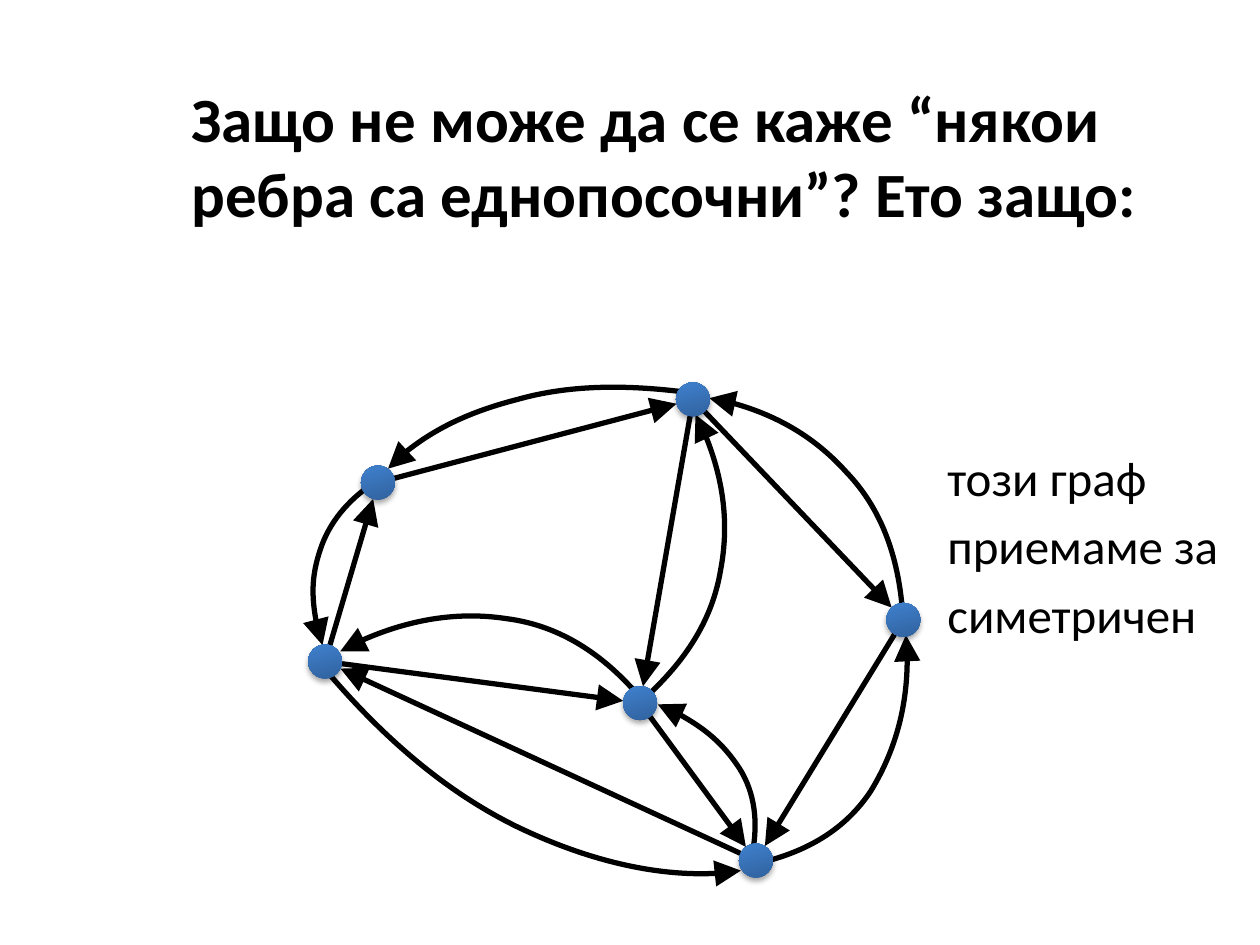
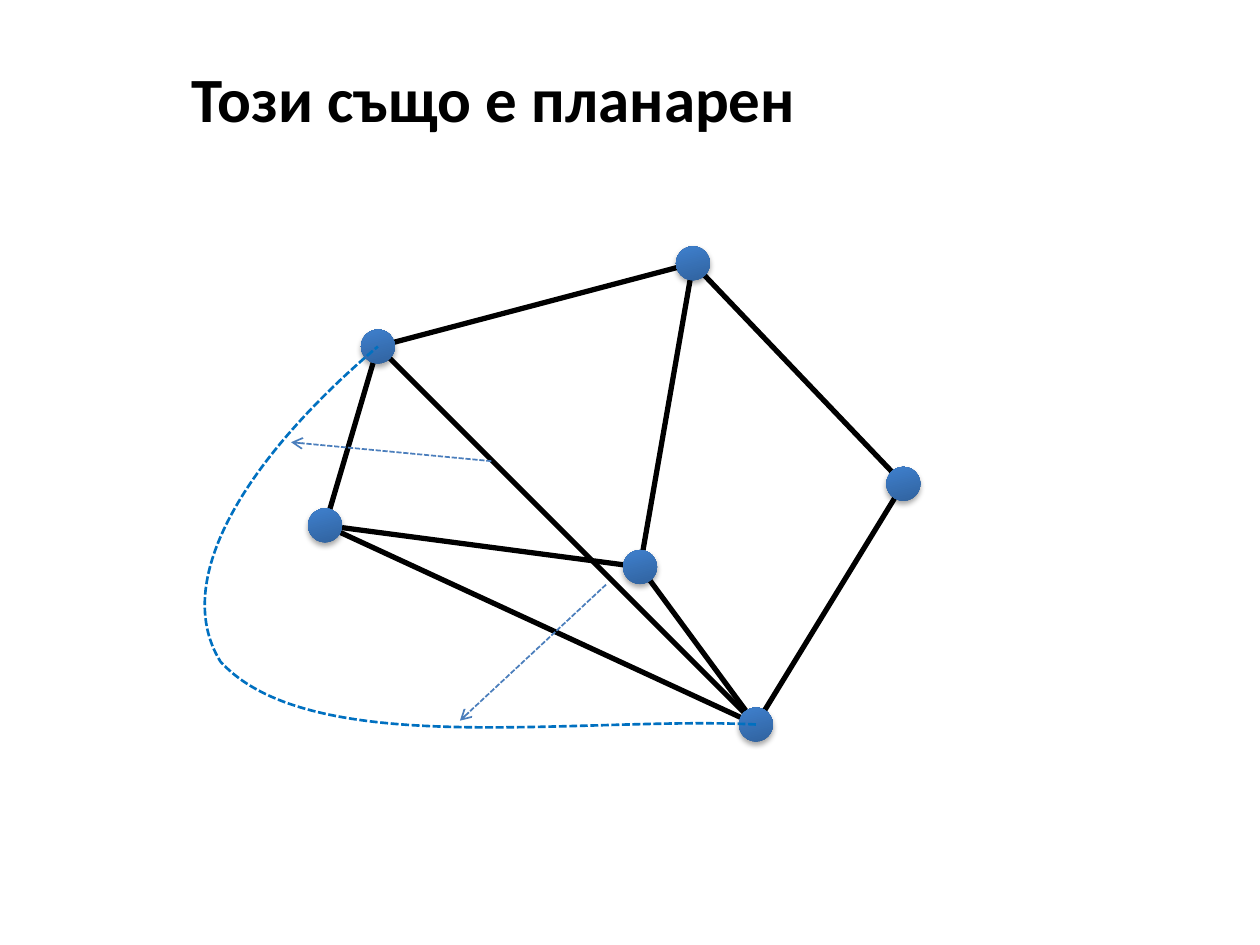
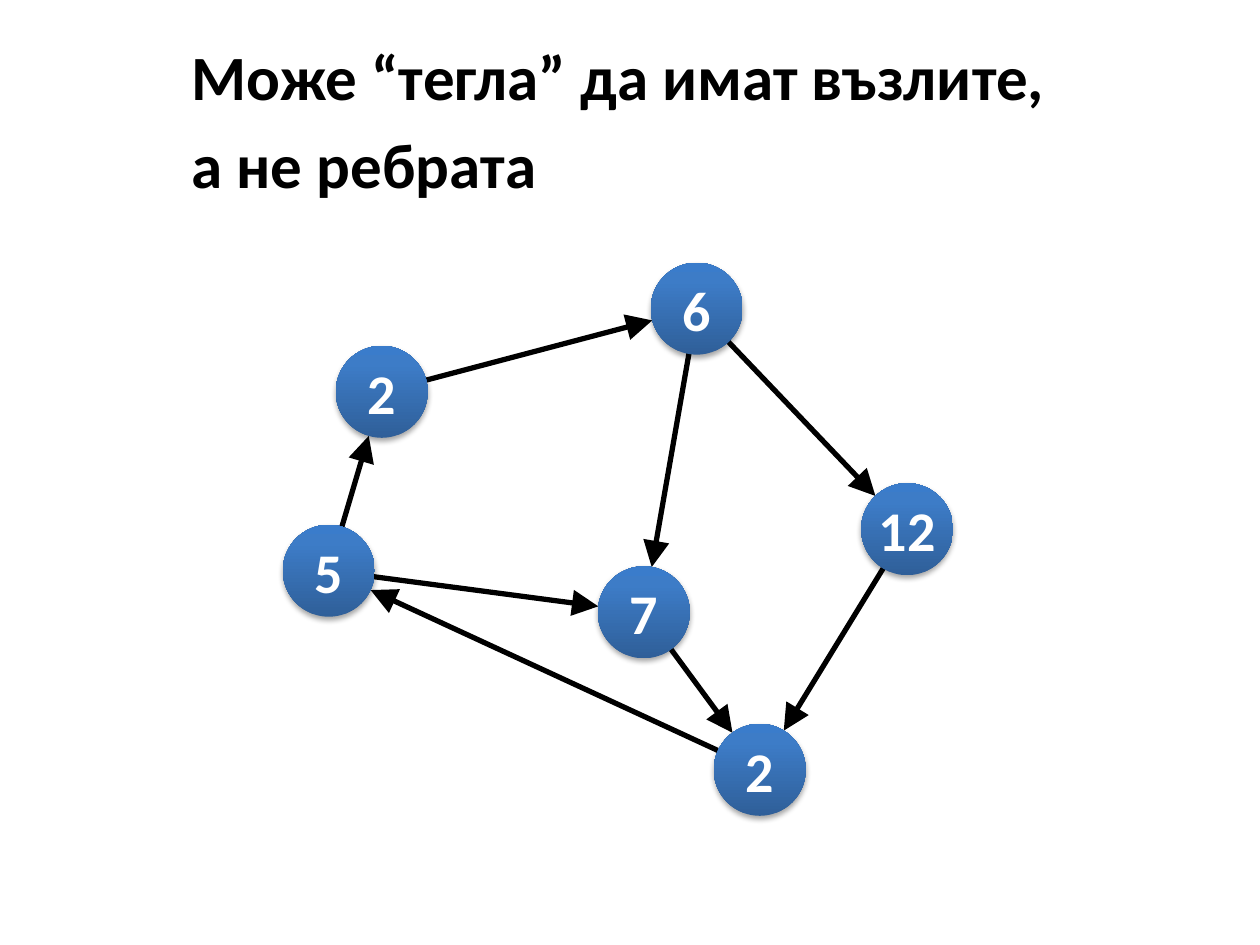
from math import hypot
from lxml import etree
from pptx import Presentation, util as u
from pptx.dml.color import RGBColor
from pptx.enum import dml, shapes, text
from pptx.oxml import parse_xml
from pptx.oxml.ns import nsdecls, qn

BLACK = RGBColor(0, 0, 0)
WHITE = RGBColor(255, 255, 255)
BLUE = RGBColor(0x00, 0x70, 0xC0)
STEEL = RGBColor(0x4B, 0x7E, 0xBC)
FONT = "Calibri"
NODES = [(3, 3.83), (5.5, 3.17), (7.17, 4.92), (5.08, 5.58), (6, 6.83), (2.58, 5.25)]
EDGES = [(5, 0), (5, 3), (4, 5), (0, 1), (1, 3), (1, 2), (2, 4), (3, 4)]

GRAD = f"""<a:gradFill {nsdecls("a")} rotWithShape="1"><a:gsLst>
<a:gs pos="0"><a:srgbClr val="2F5F99"/></a:gs>
<a:gs pos="80000"><a:srgbClr val="3D7CC7"/></a:gs>
<a:gs pos="100000"><a:srgbClr val="3A7CCB"/></a:gs>
</a:gsLst><a:lin ang="16200000" scaled="0"/></a:gradFill>"""
SHADE = f"""<a:effectLst {nsdecls("a")}>
<a:outerShdw blurRad="40000" dist="23000" dir="5400000" rotWithShape="0">
<a:srgbClr val="000000"><a:alpha val="35000"/></a:srgbClr></a:outerShdw></a:effectLst>"""


def trace(slide, points, color=BLACK, width=3, head=None, size="lg", dash=None):
    """Draw a straight line through two points, or a Bezier path through more."""
    points = [(u.Inches(x), u.Inches(y)) for x, y in points]
    if len(points) == 2:
        line = slide.shapes.add_connector(shapes.MSO_CONNECTOR.STRAIGHT, *points[0], *points[1])
    else:
        form = slide.shapes.build_freeform(*points[0])
        form.add_line_segments(points[1:], close=False)
        line = form.convert_to_shape()
        line.fill.background()
        route = next(line._element.iter(qn("a:path")))
        steps = route.findall(qn("a:lnTo"))
        for i in range(0, len(steps), 3):
            curve = etree.SubElement(route, qn("a:cubicBezTo"))
            for step in steps[i:i + 3]:
                curve.append(step[0])
                route.remove(step)
    line.line.color.rgb = color
    line.line.width = u.Pt(width)
    if dash:
        line.line.dash_style = dash
    if head:
        etree.SubElement(line.line._get_or_add_ln(), qn("a:tailEnd"), type=head, w=size, len=size)
    etree.SubElement(line._element.spPr, qn("a:effectLst"))


def write(slide, left, top, width, height, lines, size, bold):
    box = slide.shapes.add_textbox(*map(u.Inches, (left, top, width, height)))
    frame = box.text_frame
    frame.word_wrap = True
    for i, words in enumerate(lines):
        para = frame.paragraphs[0] if i == 0 else frame.add_paragraph()
        para.text = words
        para.space_before = u.Pt(size / 5 if i else 0)
        para.font.name, para.font.size, para.font.bold = FONT, u.Pt(size), bold
        para.font.color.rgb = BLACK


prs = Presentation()
prs.slide_width, prs.slide_height = u.Inches(10), u.Inches(7.5)
pages = [prs.slides.add_slide(prs.slide_layouts[6]) for _ in range(3)]
twoway, planar, weights = pages

# Titles
for page, top, lines in [
    (twoway, 0.58, ["Защо не може да се каже “някои ребра са еднопосочни”? Ето защо:"]),
    (planar, 0.42, ["Този също е планарен"]),
    (weights, 0.25, ["Може “тегла” да имат възлите,", "а не ребрата"]),
]:
    write(page, 1.42, top, 8.58, 1.5, lines, 36, True)

# Return edges and side note of the symmetric graph
write(twoway, 7.42, 3.5, 2.58, 1.7, ["този граф", "приемаме за", "симетричен"], 28, False)
for arc in [
    [(5.05, 5.5), (4.75, 5.16), (4.41, 4.96), (4.02, 4.91), (3.63, 4.85), (3.1, 4.94), (2.7, 5.17)],
    [(5.97, 6.78), (6.02, 6.52), (5.99, 6.29), (5.87, 6.1), (5.74, 5.9), (5.49, 5.69), (5.22, 5.59)],
    [(7.16, 4.81), (7.12, 4.38), (6.98, 4.02), (6.72, 3.75), (6.47, 3.47), (6.04, 3.22), (5.63, 3.16)],
    [(5.15, 5.51), (5.47, 5.21), (5.66, 4.89), (5.72, 4.52), (5.79, 4.15), (5.72, 3.65), (5.52, 3.29)],
    [(2.57, 5.3), (3.05, 5.87), (3.55, 6.29), (4.1, 6.56), (4.66, 6.83), (5.38, 7), (5.88, 6.91)],
    [(6.02, 6.85), (6.41, 6.76), (6.71, 6.58), (6.91, 6.28), (7.1, 5.97), (7.24, 5.49), (7.19, 5.04)],
    [(5.42, 3.11), (4.93, 3.05), (4.5, 3.06), (4.11, 3.17), (3.72, 3.27), (3.29, 3.48), (3.08, 3.72)],
    [(2.97, 3.83), (2.76, 3.97), (2.61, 4.15), (2.54, 4.37), (2.47, 4.58), (2.47, 4.88), (2.56, 5.12)],
]:
    trace(twoway, arc, head="triangle")

# The same graph on each slide, moved and with its own node size
for page, dx, dy, wide, head, extra, labels in [
    (twoway, 0, 0, 0.27, "triangle", [], []),
    (planar, 0, -1.08, 0.27, None, [(0, 4)], []),
    (weights, 0.03, -0.72, 0.73, "triangle", [], ["2", "6", "12", "7", "2", "5"]),
]:
    spots = [(x + dx, y + dy) for x, y in NODES]
    for start, end in extra + EDGES:
        (x1, y1), (x2, y2) = spots[start], spots[end]
        part = 1 - wide / 2 / hypot(x2 - x1, y2 - y1)
        trace(page, [(x1, y1), (x1 + (x2 - x1) * part, y1 + (y2 - y1) * part)], head=head)
    for i, (x, y) in enumerate(spots):
        place = map(u.Inches, (x - wide / 2, y - wide / 2, wide, wide))
        dot = page.shapes.add_shape(shapes.MSO_SHAPE.OVAL, *place)
        dot.line.fill.background()
        props = dot._element.spPr
        props[1].addnext(parse_xml(GRAD))
        props.append(parse_xml(SHADE))
        if not labels:
            dot.rotation = 345
            continue
        frame = dot.text_frame
        frame.word_wrap = False
        frame.vertical_anchor = text.MSO_ANCHOR.MIDDLE
        para = frame.paragraphs[0]
        para.text = labels[i]
        para.alignment = text.PP_ALIGN.CENTER
        para.font.name, para.font.size, para.font.bold = FONT, u.Pt(32), True
        para.font.color.rgb = WHITE

# Detour that keeps the second graph planar
dash = dml.MSO_LINE.SQUARE_DOT
detour = [(6, 5.75), (4.62, 5.68), (2.47, 6.04), (1.75, 5.25), (1.33, 4.57), (2.03, 3.57), (3, 2.75)]
trace(planar, detour, BLUE, 1.5, dash=dash)
for hint in [(4.81, 4.64), (3.65, 5.72)], [(3.9, 3.66), (2.31, 3.51)]:
    trace(planar, hint, STEEL, 1, "arrow", "med", dash)

prs.save("out.pptx")
